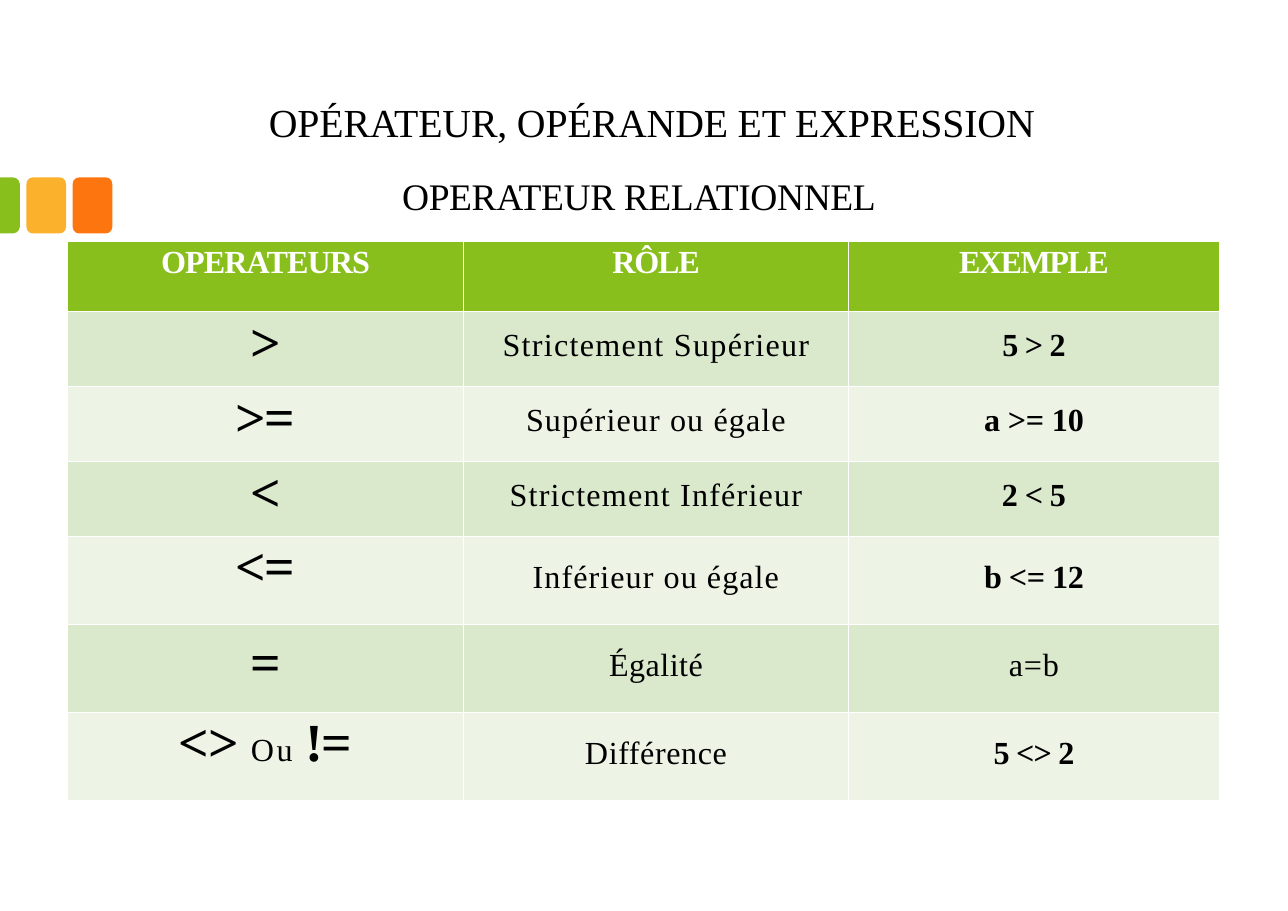
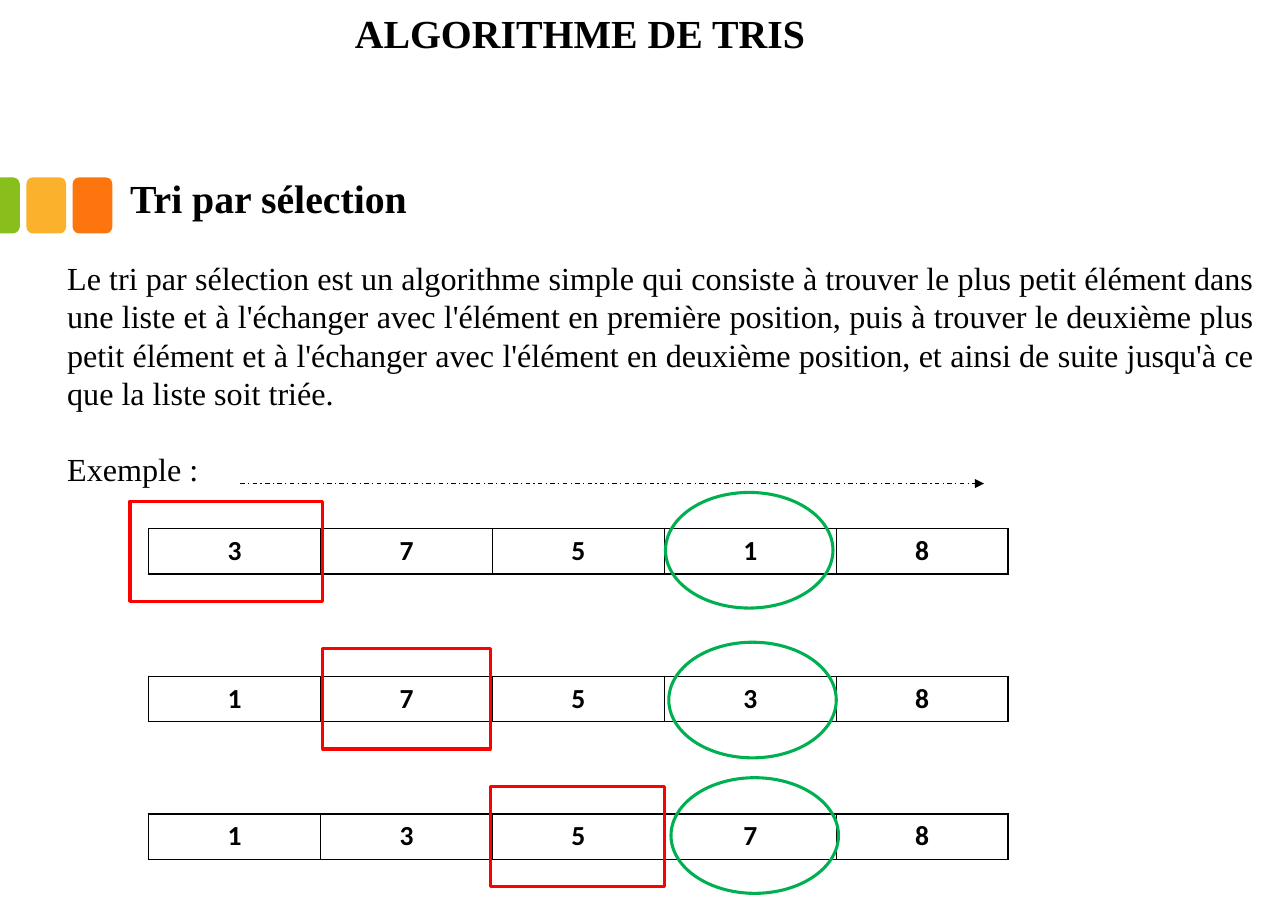
from lxml.etree import SubElement
from pptx import Presentation
from pptx.dml.color import RGBColor
from pptx.enum.dml import MSO_LINE
from pptx.enum.shapes import MSO_CONNECTOR, MSO_SHAPE
from pptx.enum.text import MSO_ANCHOR, MSO_AUTO_SIZE, PP_ALIGN
from pptx.oxml.ns import qn
from pptx.util import Pt

PX = 9144  # 100 px to the inch
SERIF = "Times New Roman"
GREEN, YELLOW, ORANGE = "89BF1C", "FBB12B", "FD750E"
BLACK, WHITE, RED, MARK_GREEN = "000000", "FFFFFF", "FF0000", "00B050"
ROW_FILLS = ["DAE8CC", "EDF4E6"]


def color(hex_string):
    return RGBColor.from_string(hex_string)


def style(font, size, bold=False, hex_string=BLACK, name=SERIF, spacing=0):
    """Format a paragraph or run font; spacing is in hundredths of a point."""
    font.size, font.bold, font.name = Pt(size), bold, name
    font.color.rgb = color(hex_string)
    font._rPr.set("spc", str(spacing))


presentation = Presentation()
presentation.slide_width, presentation.slide_height = 1169 * PX, 827 * PX
layout = presentation.slide_layouts[1]
operator_slide = presentation.slides.add_slide(layout)
sort_slide = presentation.slides.add_slide(layout)

# Three bands, shared through the layout
band_top, band_bottom = 161, 212
outline = operator_slide.shapes.build_freeform(0, band_top, scale=PX)
corner = [(12, 0), (15, 1), (17, 3), (18, 6)]
lower_corner = [(x, band_bottom - y) for x, y in reversed(corner)]
outline.add_line_segments(
    [(x, band_top + y) for x, y in corner] + lower_corner + [(0, band_bottom)]
)
bands = [(outline.convert_to_shape(), GREEN)]
for left, fill in [(24, YELLOW), (66, ORANGE)]:
    band = operator_slide.shapes.add_shape(
        MSO_SHAPE.ROUNDED_RECTANGLE,
        left * PX, band_top * PX, 36 * PX, (band_bottom - band_top) * PX,
    )
    bands.append((band, fill))
for band, fill in bands:
    band.shadow.inherit = False
    band.fill.solid()
    band.fill.fore_color.rgb = color(fill)
    band.line.fill.background()
    layout.shapes.element.append(band._element)

# Titles, subtitles and body text
definition = (
    "Le tri par sélection est un algorithme simple qui consiste à trouver le plus "
    "petit élément dans une liste et à l'échanger avec l'élément en première "
    "position, puis à trouver le deuxième plus petit élément et à l'échanger avec "
    "l'élément en deuxième position, et ainsi de suite jusqu'à ce que la liste soit "
    "triée."
)
sort_subtitle = sort_slide.shapes.add_textbox(0, 0, PX, PX)
sort_body = sort_slide.placeholders[1]
texts = [
    (operator_slide.shapes.title, (244, 89, 720, 47),
     ["OPÉRATEUR, OPÉRANDE ET EXPRESSION"], 26, False, -10),
    (operator_slide.placeholders[1], (365, 157, 450, 44),
     ["OPERATEUR RELATIONNEL"], 24.5, False, -25),
    (sort_slide.shapes.title, (322, 8, 525, 44), ["ALGORITHME DE TRIS"], 26, True, 0),
    (sort_subtitle, (118, 158, 525, 44), ["Tri par sélection"], 26, True, 0),
    (sort_body, (61, 235, 1078, 247), [definition, "Exemple :"], 21, False, 0),
]
for shape, box, lines, size, bold, spacing in texts:
    shape.left, shape.top, shape.width, shape.height = [length * PX for length in box]
    frame = shape.text_frame
    frame.text = "\n".join(lines)
    frame.word_wrap = True
    frame.auto_size = MSO_AUTO_SIZE.NONE
    frame.vertical_anchor = MSO_ANCHOR.TOP
    frame.margin_left = frame.margin_right = frame.margin_top = frame.margin_bottom = 0
    for paragraph in frame.paragraphs:
        properties = paragraph._p.get_or_add_pPr()
        properties.set("marL", "0")
        properties.set("indent", "0")
        SubElement(properties, qn("a:buNone"))
        paragraph.alignment = PP_ALIGN.LEFT
        paragraph.space_before = Pt(0)
        style(paragraph.font, size, bold, spacing=spacing)

for paragraph in sort_body.text_frame.paragraphs:
    paragraph.alignment = PP_ALIGN.JUSTIFY
    paragraph.line_spacing = Pt(25)
paragraph.space_before = Pt(25)

# Table of relational operators: each cell is a text, its size, bold and spacing
operator_rows = [
    [("OPERATEURS", 21, True, -60), ("RÔLE", 21, True, -80), ("EXEMPLE", 21, True, -100)],
    [(">", 35, True, 0), ("Strictement Supérieur", 21, False, 85), ("5 > 2", 21, True, -50)],
    [(">=", 35, True, -70), ("Supérieur ou égale", 21, False, 75), ("a >= 10", 21, True, -10)],
    [("<", 35, True, 0), ("Strictement Inférieur", 21, False, 80), ("2 < 5", 21, True, -40)],
    [("<=", 35, True, -70), ("Inférieur ou égale", 21, False, 70), ("b <= 12", 21, True, -30)],
    [("=", 35, True, 0), ("Égalité", 21, False, 30), ("a=b", 21, False, 60)],
    [("", 35, True, 0), ("Différence", 21, False, 40), ("5 <> 2", 21, True, -50)],
]
row_heights = [64, 68, 68, 68, 80, 80, 80]
column_widths = [360, 349, 337]
# Top margins of the operator column and of the two others
top_margins = [(3, 3), (2, 15), (2, 15), (2, 15), (1, 21), (8, 21), (1, 21)]
table = operator_slide.shapes.add_table(
    len(operator_rows), len(column_widths),
    61 * PX, 219 * PX, sum(column_widths) * PX, sum(row_heights) * PX,
).table
for column, width in zip(table.columns, column_widths):
    column.width = width * PX
for row_index, cells in enumerate(operator_rows):
    table.rows[row_index].height = row_heights[row_index] * PX
    for column_index, (text, size, bold, spacing) in enumerate(cells):
        cell = table.cell(row_index, column_index)
        cell.margin_left = cell.margin_right = cell.margin_bottom = 0
        cell.margin_top = top_margins[row_index][min(column_index, 1)] * PX
        cell.fill.solid()
        fill = ROW_FILLS[(row_index - 1) % 2] if row_index else GREEN
        cell.fill.fore_color.rgb = color(fill)
        paragraph = cell.text_frame.paragraphs[0]
        paragraph.alignment = PP_ALIGN.CENTER
        if text:
            paragraph.add_run().text = text
            style(paragraph.font, size, bold, BLACK if row_index else WHITE, spacing=spacing)

difference_paragraph = table.cell(6, 0).text_frame.paragraphs[0]
for text, size, bold, spacing in [
    ("<> ", 35, True, -70), ("Ou ", 21, False, 160), ("!=", 35, True, -90)
]:
    run = difference_paragraph.add_run()
    run.text = text
    style(run.font, size, bold, spacing=spacing)

# Steps of the selection sort: list, table top, current box, minimum box
steps = [
    ("37518", 480, (118, 455, 175, 91), (604, 447, 152, 105)),
    ("17538", 614, (293, 589, 152, 91), (607, 583, 152, 105)),
    ("13578", 739, (445, 714, 158, 91), (609, 706, 152, 105)),
]
cell_width, cell_height = 156, 41
for digits, top, current_box, minimum_box in steps:
    table = sort_slide.shapes.add_table(
        1, len(digits), 135 * PX, top * PX, len(digits) * cell_width * PX, cell_height * PX
    ).table
    table.first_row = table.horz_banding = False
    for cell, digit in zip(table.iter_cells(), digits):
        cell_properties = cell._tc.get_or_add_tcPr()
        for side in ("a:lnL", "a:lnR", "a:lnT", "a:lnB"):
            border = SubElement(cell_properties, qn(side), w=str(Pt(1)))
            border_fill = SubElement(border, qn("a:solidFill"))
            SubElement(border_fill, qn("a:srgbClr"), val=BLACK)
        cell.fill.background()
        cell.text = digit
        paragraph = cell.text_frame.paragraphs[0]
        paragraph.alignment = PP_ALIGN.CENTER
        style(paragraph.font, 18, True, name="Calibri")
    for preset, box, line_color in [
        (MSO_SHAPE.RECTANGLE, current_box, RED),
        (MSO_SHAPE.OVAL, minimum_box, MARK_GREEN),
    ]:
        marker = sort_slide.shapes.add_shape(preset, *[length * PX for length in box])
        marker.shadow.inherit = False
        marker.fill.background()
        marker.line.color.rgb = color(line_color)
        marker.line.width = Pt(2)

arrow = sort_slide.shapes.add_connector(
    MSO_CONNECTOR.STRAIGHT, 218 * PX, 439 * PX, 893 * PX, 439 * PX
)
arrow.line.color.rgb = color(BLACK)
arrow.line.width = Pt(0.75)
arrow.line.dash_style = MSO_LINE.DASH_DOT
SubElement(arrow.line._get_or_add_ln(), qn("a:tailEnd"), type="triangle")
SubElement(arrow._element.spPr, qn("a:effectLst"))

presentation.save("out.pptx")
